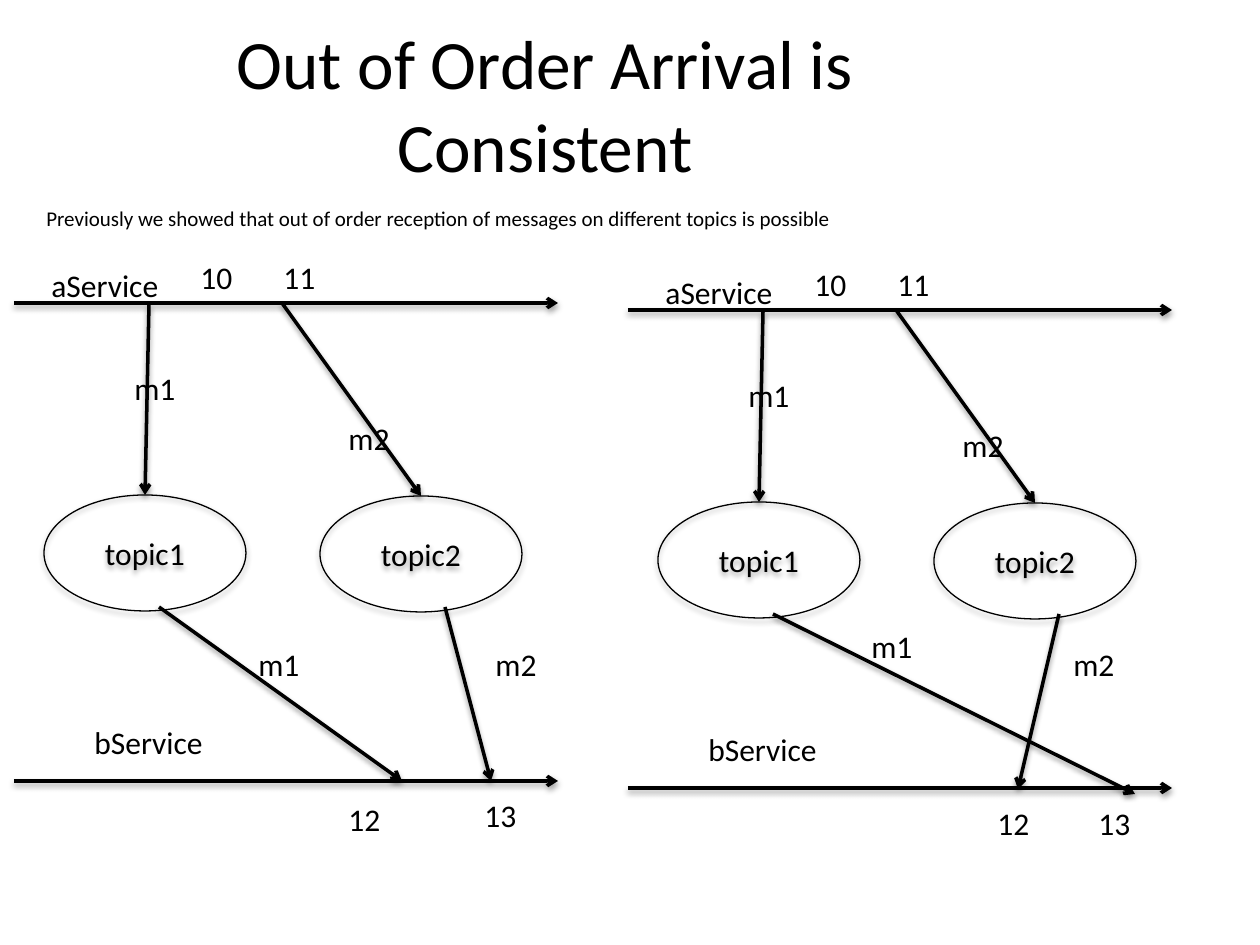
from lxml.etree import SubElement
from pptx import Presentation
from pptx.dml.color import RGBColor
from pptx.enum.shapes import MSO_CONNECTOR, MSO_SHAPE
from pptx.enum.text import MSO_ANCHOR, MSO_AUTO_SIZE, PP_ALIGN
from pptx.oxml.ns import qn
from pptx.util import Pt

SCALE = 914400 / 126
BLACK = "000000"
FIT = {"word_wrap": False, "auto_size": MSO_AUTO_SIZE.SHAPE_TO_FIT_TEXT}
MID = {"word_wrap": True, "vertical_anchor": MSO_ANCHOR.MIDDLE}
LOW = {"word_wrap": True, "vertical_anchor": MSO_ANCHOR.BOTTOM}

TAGS = [
    ("aService", 39, 260, 134), ("10", 188, 252, 66), ("11", 271, 252, 66),
    ("m2", 336, 413, 67), ("m1", 122, 363, 76), ("bService", 82, 717, 135),
]
TOPICS = [("topic1", 44, 495, 149, 305), ("topic2", 320, 496, 282, 303)]
STARTS = [(159, 607), (445, 607)]
PANELS = [
    (0, 0, [(402, 781), (491, 781)],
     [("m1", 246, 639, 76), ("m2", 483, 639, 76),
      ("12", 336, 794, 66), ("13", 472, 790, 66)]),
    (614, 7, [(521, 787), (404, 782)],
     [("m1", 245, 614, 76), ("m2", 447, 632, 76),
      ("12", 371, 791, 66), ("13", 472, 791, 66)]),
]


def px(*vals):
    return [round(val * SCALE) for val in vals]


def paint(code):
    return RGBColor.from_string(code)


def apply(item, form):
    for name, val in form.items():
        setattr(item, name, val)


def write(shape, text, size, form, align):
    frame = shape.text_frame
    apply(frame, form)
    para = frame.paragraphs[0]
    para.alignment = align
    run = para.add_run()
    run.text = text
    apply(run.font, {"name": "Calibri", "size": Pt(size)})
    run.font.color.rgb = paint(BLACK)


def label(shapes, text, box, size=18, form=FIT, align=PP_ALIGN.LEFT):
    shape = shapes.add_textbox(*px(*box))
    write(shape, text, size, form, align)


def shade(item, alpha, dist):
    props = item._element.spPr
    glow = SubElement(SubElement(props, qn("a:effectLst")), qn("a:outerShdw"),
                      blurRad="40000", dist=str(dist), dir="5400000",
                      rotWithShape="0")
    tone = SubElement(glow, qn("a:srgbClr"), val=BLACK)
    SubElement(tone, qn("a:alpha"), val=str(alpha * 1000))


def ink(item, width):
    item.line.color.rgb = paint(BLACK)
    item.line.width = Pt(width)


def oval(shapes, text, left, top):
    shape = shapes.add_shape(MSO_SHAPE.OVAL, *px(left, top, 202, 116))
    shape.fill.background()
    ink(shape, 0.75)
    shade(shape, 35, 23000)
    write(shape, text, 18, MID, PP_ALIGN.CENTER)
    return shape


def arrow(shapes, start, end):
    line = shapes.add_connector(MSO_CONNECTOR.STRAIGHT, *px(*start, *end))
    ink(line, 2)
    SubElement(line.line._get_or_add_ln(), qn("a:tailEnd"), type="arrow")
    shade(line, 38, 20000)
    return line


def panel(slide, dx, dy, ends, marks):
    shapes = slide.shapes.add_group_shape().shapes
    for y in (303, 781):
        arrow(shapes, (14 + dx, y + dy), (558 + dx, y + dy))
    for name, left, top, x, y in TOPICS:
        topic = oval(shapes, name, left + dx, top + dy)
        send = arrow(shapes, (x + dx, y + dy), (left + 101 + dx, top + dy))
        send.end_connect(topic, 0)
    for (x, y), (to_x, to_y) in zip(STARTS, ends):
        arrow(shapes, (x + dx, y + dy), (to_x + dx, to_y + dy))
    for text, left, top, width in TAGS + marks:
        label(shapes, text, (left + dx, top + dy, width, 50))


def main():
    deck = Presentation()
    deck.slide_width, deck.slide_height = px(1260, 945)
    slide = deck.slides.add_slide(deck.slide_layouts[6])
    label(slide.shapes, "Out of Order Arrival is Consistent",
          (117, 24, 856, 158), 39.6, MID, PP_ALIGN.CENTER)
    label(slide.shapes, "Previously we showed that out of order reception of "
          "messages on different topics is possible",
          (34, 174, 1026, 63), 12, LOW)
    for args in PANELS:
        panel(slide, *args)
    deck.save("out.pptx")


if __name__ == "__main__":
    main()
